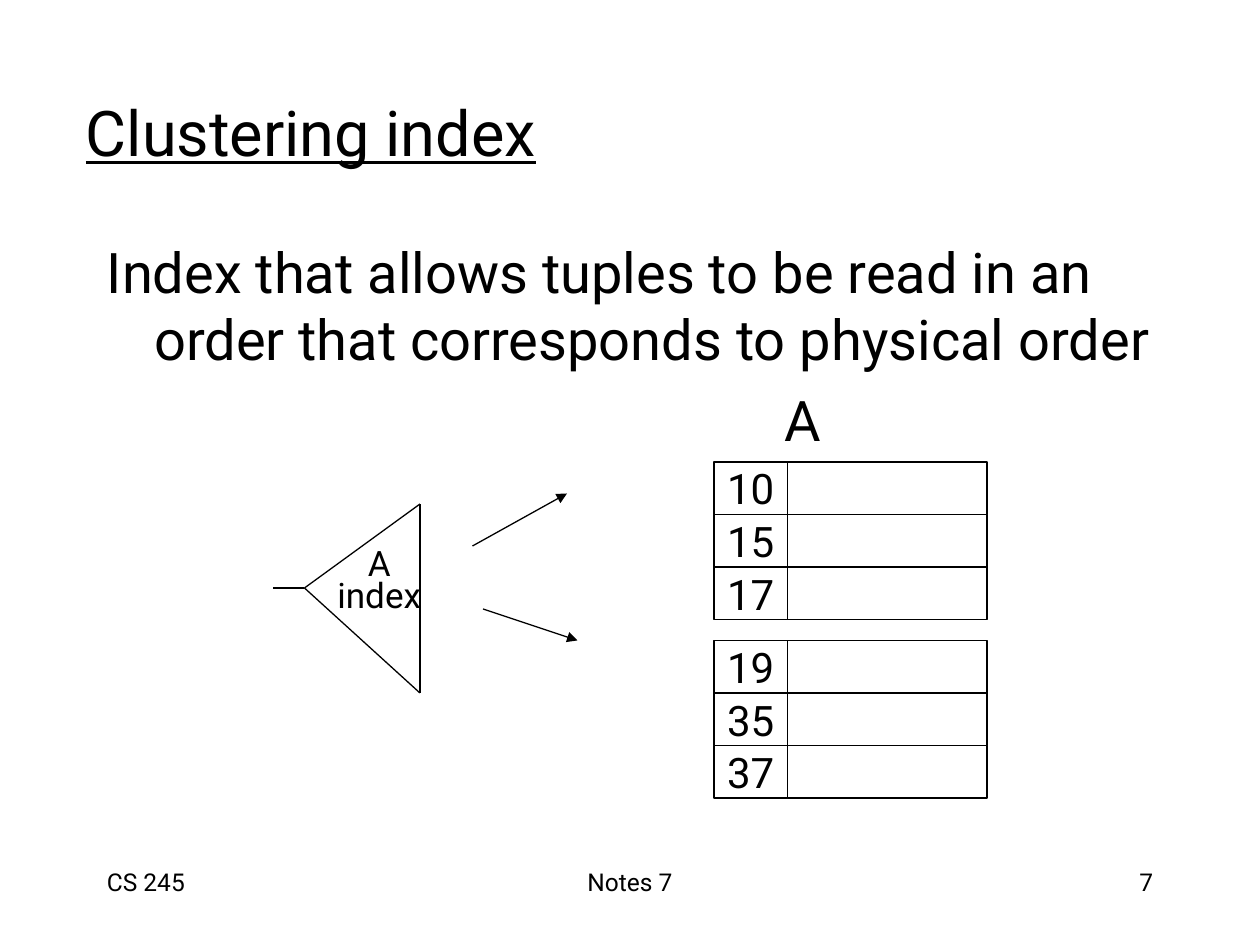
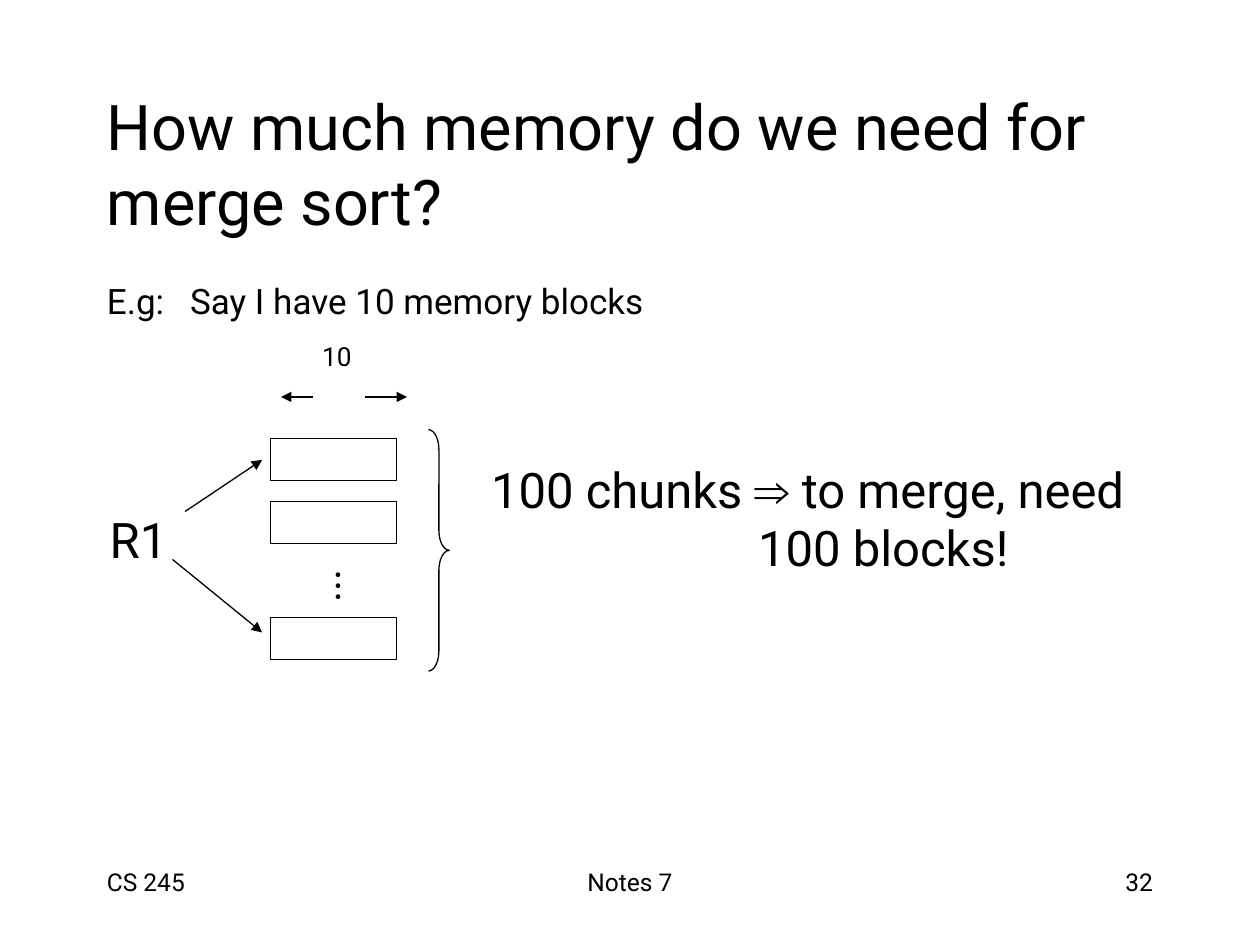
"""Build two lecture slides on clustering indexes and merge sort memory."""
from dataclasses import dataclass
from typing import NamedTuple

import pptx
import pptx.dml.color
import pptx.enum.shapes
import pptx.enum.text
import pptx.oxml.ns
import pptx.util
from lxml import etree

Pt = pptx.util.Pt
ALIGN = pptx.enum.text.PP_ALIGN
ANCHOR = pptx.enum.text.MSO_ANCHOR
SHAPE = pptx.enum.shapes.MSO_SHAPE

COLOURS = {"ink": "000000", "paper": "FFFFFF"}
FONT = "Roboto"
SYMBOL_FONT = "Arial"
LINE_WIDTH = 0.75
TITLE_SIZE = 36


class Area(NamedTuple):
    left: float
    top: float
    width: float
    height: float


class Stroke(NamedTuple):
    start: tuple[float, float]
    end: tuple[float, float]
    arrow: bool = False


class Span(NamedTuple):
    text: str
    size: float
    font: str = FONT
    underline: bool = False


@dataclass
class Para:
    spans: list[Span]
    align: ALIGN = ALIGN.LEFT
    margin: float = 0
    hanging: float = 0
    before: float = 0
    spacing: float | None = None


@dataclass
class Label:
    area: Area
    paras: list[Para]
    anchor: ANCHOR = ANCHOR.TOP
    wrap: bool = True
    rotation: float = 0


def colour(name: str) -> pptx.dml.color.RGBColor:
    """Return a named colour."""
    return pptx.dml.color.RGBColor.from_string(COLOURS[name])


def fill_text(frame, paras: list[Para], anchor: ANCHOR, wrap: bool) -> None:
    """Write paragraphs into a text frame, run by run."""
    frame.word_wrap = wrap
    frame.vertical_anchor = anchor
    for index, para in enumerate(paras):
        paragraph = frame.add_paragraph() if index else frame.paragraphs[0]
        paragraph.alignment = para.align
        if para.margin:
            properties = paragraph._p.get_or_add_pPr()
            properties.set("marL", str(Pt(para.margin)))
            properties.set("indent", str(-Pt(para.hanging)))
        if para.before:
            paragraph.space_before = Pt(para.before)
        if para.spacing:
            paragraph.line_spacing = para.spacing
        for span in para.spans:
            run = paragraph.add_run()
            run.text = span.text
            run.font.size = Pt(span.size)
            run.font.name = span.font
            run.font.underline = span.underline
            run.font.color.rgb = colour("ink")


def draw_label(page, label: Label) -> None:
    """Draw a text box."""
    box = page.shapes.add_textbox(*map(Pt, label.area))
    box.rotation = label.rotation
    fill_text(box.text_frame, label.paras, label.anchor, label.wrap)


def draw_shape(page, kind: SHAPE, area: Area, filled: bool = True):
    """Draw an outlined preset shape and return it."""
    shape = page.shapes.add_shape(kind, *map(Pt, area))
    shape.shadow.inherit = False
    if filled:
        shape.fill.solid()
        shape.fill.fore_color.rgb = colour("paper")
    else:
        shape.fill.background()
    shape.line.color.rgb = colour("ink")
    shape.line.width = Pt(LINE_WIDTH)
    return shape


def draw_stroke(page, stroke: Stroke) -> None:
    """Draw a straight line, with an arrowhead if asked."""
    line = page.shapes.add_connector(
        pptx.enum.shapes.MSO_CONNECTOR.STRAIGHT, *map(Pt, stroke.start + stroke.end)
    )
    line.line.color.rgb = colour("ink")
    line.line.width = Pt(LINE_WIDTH)
    if stroke.arrow:
        head = etree.SubElement(line.line._get_or_add_ln(), pptx.oxml.ns.qn("a:tailEnd"))
        head.set("type", "triangle")
    etree.SubElement(line._element.spPr, pptx.oxml.ns.qn("a:effectLst"))


def start_page(deck, title: Span, title_area: Area, number: int):
    """Add a blank page with its title and footer."""
    page = deck.slides.add_slide(deck.slide_layouts[6])
    page.background.fill.solid()
    page.background.fill.fore_color.rgb = colour("paper")
    draw_label(page, Label(title_area, [Para([title])], ANCHOR.MIDDLE))
    footers = [
        ("CS 245", 54, 150, ALIGN.LEFT),
        ("Notes 7", 246, 228, ALIGN.CENTER),
        (str(number), 516, 150, ALIGN.RIGHT),
    ]
    for text, left, width, align in footers:
        area = Area(left, 492, width, 36)
        draw_label(page, Label(area, [Para([Span(text, 14)], align)]))
    return page


def build_clustering_index(deck) -> None:
    """Build the clustering index page."""
    title = Span("Clustering index", TITLE_SIZE, underline=True)
    page = start_page(deck, title, Area(42, 30, 612, 90), 7)
    definition = "Index that allows tuples to be read in an order that corresponds to physical order"
    draw_label(page, Label(Area(54, 132, 612, 324), [
        Para([Span(definition, 32)], margin=27, hanging=27),
        Para([Span("A", 32)], margin=387, before=8),
    ]))

    root, upper, lower = (174, 336), (240, 288), (240, 396)
    for stroke in (
        Stroke(upper, lower),
        Stroke(upper, root),
        Stroke(root, lower),
        Stroke(root, (156, 336)),
        Stroke((270, 312), (324, 282), True),
        Stroke((276, 348), (330, 366), True),
    ):
        draw_stroke(page, stroke)
    draw_label(page, Label(Area(183.6, 306, 66.2, 46), [
        Para([Span("A", 20)], ALIGN.CENTER),
        Para([Span("index", 20)], ALIGN.CENTER, before=12.5, spacing=0.1),
    ], ANCHOR.MIDDLE, wrap=False))

    key_left, key_width, rest_width, row_height = 408, 42, 114, 30
    blocks = [("10", "15", "17"), ("19", "35", "37")]
    for block_index, keys in enumerate(blocks):
        for row, key in enumerate(keys):
            top = 264 + 102 * block_index + row_height * row
            cell = draw_shape(page, SHAPE.RECTANGLE, Area(key_left, top, key_width, row_height))
            fill_text(cell.text_frame, [Para([Span(key, 24)], ALIGN.CENTER)], ANCHOR.MIDDLE, False)
            rest = Area(key_left + key_width, top, rest_width, row_height)
            draw_shape(page, SHAPE.RECTANGLE, rest)


def build_merge_memory(deck) -> None:
    """Build the merge sort memory page."""
    title = Span("How much memory do we need for merge sort?", TITLE_SIZE)
    page = start_page(deck, title, Area(54, 48, 612, 90), 32)
    draw_label(page, Label(Area(54, 156, 588, 94), [
        Para([Span("E.g:\tSay I have 10 memory blocks", 20)], margin=47.5, hanging=47.5),
        Para([Span("10", 15)], margin=123, before=11),
    ]))

    brace = draw_shape(page, SHAPE.RIGHT_BRACE, Area(244.8, 245.5, 12, 138), filled=False)
    brace.adjustments[0] = 0.95
    for chunk_top in (250.6, 286.6, 352.8):
        draw_shape(page, SHAPE.RECTANGLE, Area(154.8, chunk_top, 72, 24))
    for start, end in (
        ((178.6, 226.8), (160.6, 226.8)),
        ((208.8, 226.8), (232.6, 226.8)),
        ((105.8, 292.3), (149.8, 262.8)),
        ((98.6, 319.7), (149.8, 361.4)),
    ):
        draw_stroke(page, Stroke(start, end, True))

    dots = Para([Span("...", 24)], ALIGN.CENTER)
    draw_label(page, Label(Area(167.8, 316.8, 33.8, 36), [dots], ANCHOR.MIDDLE, False, 270))
    relation = Para([Span("R1", 28)], ALIGN.CENTER)
    draw_label(page, Label(Area(55.4, 287.3, 47.5, 41), [relation], ANCHOR.MIDDLE, False))
    draw_label(page, Label(Area(273.6, 258.5, 401, 75), [
        Para([Span("100 chunks ", 28), Span("⇒", 28, SYMBOL_FONT), Span(" to merge, need", 28)]),
        Para([Span("100 blocks!", 28)], margin=152.6),
    ], ANCHOR.MIDDLE))


def main() -> None:
    """Build and save the deck."""
    deck = pptx.Presentation()
    deck.slide_width, deck.slide_height = Pt(720), Pt(540)
    build_clustering_index(deck)
    build_merge_memory(deck)
    deck.save("out.pptx")


if __name__ == "__main__":
    main()
